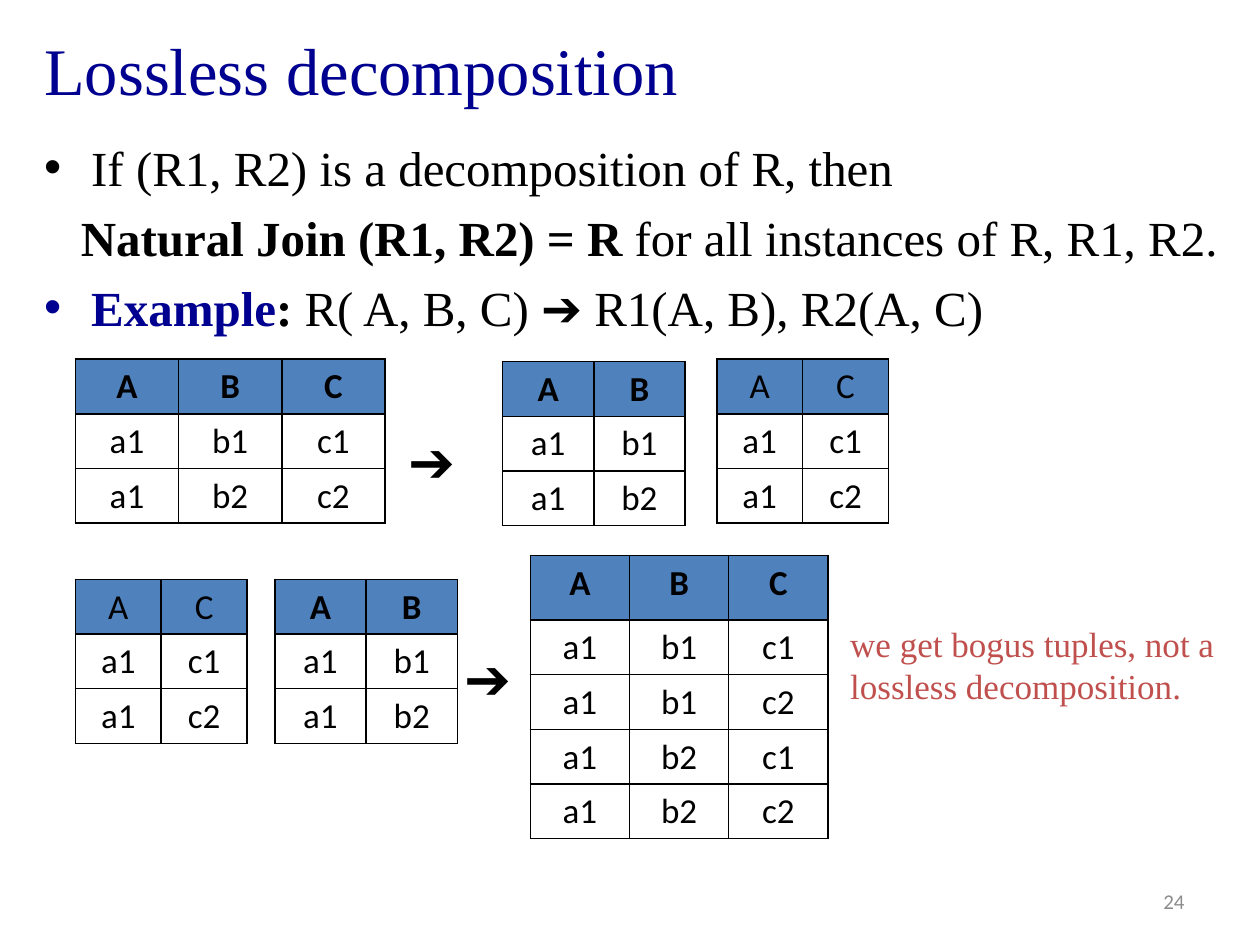
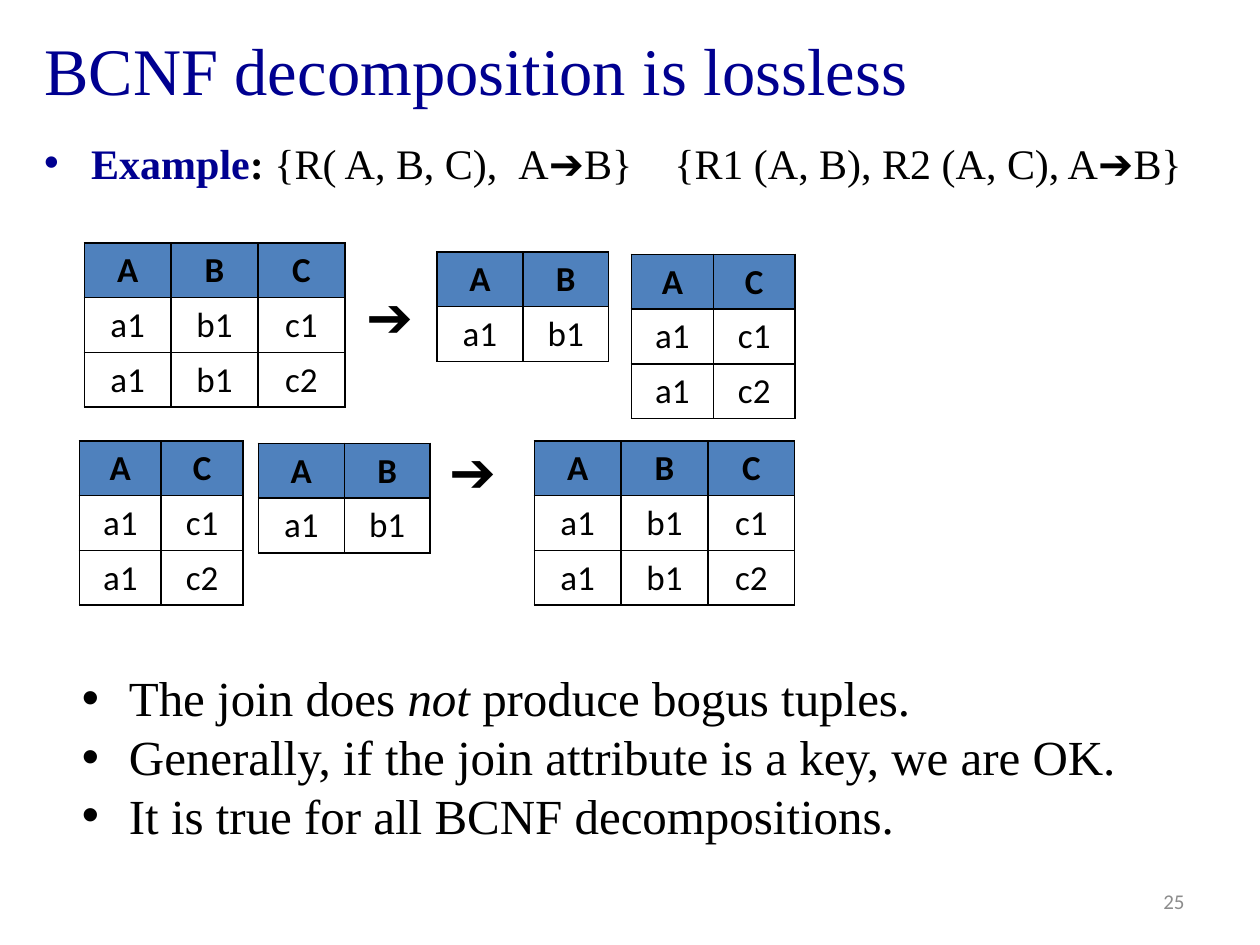
from dataclasses import dataclass

from lxml.etree import SubElement
from pptx import Presentation
from pptx.dml.color import RGBColor
from pptx.enum.text import MSO_ANCHOR, MSO_AUTO_SIZE, PP_ALIGN
from pptx.oxml.ns import qn
from pptx.util import Cm, Pt


@dataclass(frozen=True)
class Theme:
    """Colours, fonts and type sizes shared by the slides."""
    navy: str = "000090"
    ink: str = "000000"
    red: str = "C0504D"
    gray: str = "8C8C8C"
    blue: str = "4F81BD"
    serif: str = "Times New Roman"
    sans: str = "Calibri"
    sign: str = "Arial"
    head: int = Pt(38)
    join: int = Pt(32)
    body: int = Pt(28)
    lead: int = Pt(24)
    cell: int = Pt(20)
    foot: int = Pt(12)


LOOK = Theme()
ARROW = "\u2794"
HANG = 0.95
BOLD = {"bold": True}
NAVY = {"bold": True, "color": LOOK.navy}
SIGN = {"name": LOOK.sign}


def style(font, color=LOOK.ink, **form):
    """Set a font's attributes and its colour."""
    for key, value in form.items():
        setattr(font, key, value)
    font.color.rgb = RGBColor.from_string(color)


def mark(para):
    """Give a paragraph a round bullet with a hanging indent."""
    prop = para._p.get_or_add_pPr()
    prop.set("marL", str(int(Cm(HANG))))
    prop.set("indent", str(-int(Cm(HANG))))
    SubElement(prop, qn("a:buFont"), typeface=LOOK.sign)
    SubElement(prop, qn("a:buChar"), char="\u2022")


def edge(cell):
    """Draw a thin line on all sides of a cell."""
    prop = cell._tc.get_or_add_tcPr()
    for side in "LRTB":
        line = SubElement(prop, qn(f"a:ln{side}"), w=str(int(Pt(1))))
        fill = SubElement(line, qn("a:solidFill"))
        SubElement(fill, qn("a:srgbClr"), val=LOOK.ink)


class Deck:
    """Holds the theme, the presentation and the current slide."""

    def __init__(self, look):
        """Start an empty 4:3 presentation."""
        self.look = look
        self.show = Presentation()
        self.show.slide_width = Cm(25.4)
        self.show.slide_height = Cm(19.05)

    def page(self, title, number):
        """Add a slide with its title and page number."""
        look = self.look
        self.slide = self.show.slides.add_slide(self.show.slide_layouts[5])
        head = self.slide.shapes.title
        spot = {"left": 0.64, "top": 0.13, "width": 24.26, "height": 2.51}
        for key, value in spot.items():
            setattr(head, key, Cm(value))
        frame = head.text_frame
        frame.vertical_anchor = MSO_ANCHOR.MIDDLE
        self.line(frame.paragraphs[0], [(title, {})], PP_ALIGN.LEFT,
                  size=look.head, name=look.serif, color=look.navy)
        foot = self.box(18.21, 17.65, 5.92, 1.02,
                        vertical_anchor=MSO_ANCHOR.MIDDLE)
        self.line(foot.paragraphs[0], [(str(number), {})], PP_ALIGN.RIGHT,
                  size=look.foot, name=look.sans, color=look.gray)

    def box(self, left, top, wide, high, **form):
        """Add a text box and return its frame."""
        spot = map(Cm, (left, top, wide, high))
        frame = self.slide.shapes.add_textbox(*spot).text_frame
        for key, value in {"word_wrap": True, **form}.items():
            setattr(frame, key, value)
        return frame

    def line(self, para, runs, align=PP_ALIGN.LEFT, **base):
        """Fill a paragraph with runs, each with its own changes."""
        para.alignment = align
        for text, form in runs:
            run = para.add_run()
            run.text = text
            style(run.font, **{**base, **form})

    def text(self, frame, lines, size, color=LOOK.ink, gap=0, plain=()):
        """Write lines with bullets, save for the plain ones."""
        for num, runs in enumerate(lines):
            para = frame.add_paragraph() if num else frame.paragraphs[0]
            para.space_before = Pt(gap)
            if num not in plain:
                mark(para)
            self.line(para, runs, size=size, name=self.look.serif, color=color)
        return frame

    def arrow(self, mid, level):
        """Put an arrow sign around a centre point."""
        side = 1.6
        frame = self.box(mid - side / 2, level - side / 2, side, side,
                         margin_left=0, margin_right=0, margin_top=0,
                         margin_bottom=0, vertical_anchor=MSO_ANCHOR.MIDDLE)
        self.line(frame.paragraphs[0], [(ARROW, {})], PP_ALIGN.CENTER,
                  size=self.look.join, name=self.look.sign)

    def grid(self, left, top, wide, data, bold=True, head=1.1):
        """Add a relation as a table; bars part rows, spaces part cells."""
        look, step = self.look, 1.1
        rows = [row.split() for row in data.split("|")]
        cols = len(rows[0])
        high = head + step * (len(rows) - 1)
        table = self.slide.shapes.add_table(
            len(rows), cols, Cm(left), Cm(top), Cm(wide * cols), Cm(high)).table
        table.first_row = table.horz_banding = False
        for col in table.columns:
            col.width = Cm(wide)
        for num, row in enumerate(rows):
            table.rows[num].height = Cm(step if num else head)
            for col, word in enumerate(row):
                cell = table.cell(num, col)
                edge(cell)
                if num:
                    cell.fill.background()
                else:
                    cell.fill.solid()
                    cell.fill.fore_color.rgb = RGBColor.from_string(look.blue)
                self.line(cell.text_frame.paragraphs[0], [(word, {})],
                          PP_ALIGN.CENTER, size=look.cell, name=look.sans,
                          bold=bold and not num)


def lossy(deck):
    """Build the slide on a join that yields bogus tuples."""
    look = deck.look
    deck.page("Lossless decomposition", 24)
    body = deck.text(deck.box(0.64, 2.64, 24.26, 14.68), [
        [("If (R1, R2) is a decomposition of R, then", {})],
        [("Natural Join (R1, R2) = R ", BOLD),
         ("for all instances of R, R1, R2.", {})],
        [("Example", NAVY), (":", BOLD), (" R( A, B, C) ", {}),
         (ARROW, SIGN), (" R1(A, B), R2(A, C)", {})],
    ], look.body, gap=6.5, plain=(1,))
    body.paragraphs[1]._p.get_or_add_pPr().set("marL", str(int(Cm(0.74))))

    pair, rest = "A B|a1 b1|a1 b2", "A C|a1 c1|a1 c2"
    deck.grid(1.52, 7.24, 2.08, "A B C|a1 b1 c1|a1 b2 c2")
    deck.arrow(8.71, 9.27)
    deck.grid(10.13, 7.29, 1.84, pair)
    deck.grid(14.45, 7.24, 1.73, rest, bold=False)
    deck.grid(1.52, 11.68, 1.73, rest, bold=False)
    deck.grid(5.54, 11.68, 1.84, pair)
    deck.arrow(9.83, 13.64)
    deck.grid(10.69, 11.2, 2,
              "A B C|a1 b1 c1|a1 b1 c2|a1 b2 c1|a1 b2 c2", head=1.3)
    note = deck.box(16.89, 12.42, 8, 1.96, word_wrap=False,
                    auto_size=MSO_AUTO_SIZE.SHAPE_TO_FIT_TEXT)
    deck.text(note, [[("we get bogus tuples, not a", {})],
                     [("lossless decomposition.", {})]],
              look.cell, look.red, plain=(0, 1))


def exact(deck):
    """Build the slide on a join that gives back the relation."""
    look = deck.look
    deck.page("BCNF decomposition is lossless", 25)
    deck.text(deck.box(0.64, 2.64, 24.26, 16.03), [
        [("Example", NAVY), (":", BOLD), (" {R( A, B, C),\u2002A", {}),
         (ARROW, SIGN), ("B}\u2003{R1 (A, B), R2 (A, C), A", {}),
         (ARROW, SIGN), ("B}", {})],
    ], look.lead, gap=5.5)

    whole, pair = "A B C|a1 b1 c1|a1 b1 c2", "A B|a1 b1"
    rest = "A C|a1 c1|a1 c2"
    deck.grid(1.7, 4.9, 1.75, whole)
    deck.arrow(7.87, 6.35)
    deck.grid(8.81, 5.08, 1.73, pair)
    deck.grid(12.73, 5.13, 1.65, rest)
    deck.grid(1.6, 8.89, 1.65, rest)
    deck.grid(5.21, 8.94, 1.73, pair)
    deck.arrow(9.53, 9.47)
    deck.grid(10.77, 8.89, 1.75, whole)
    deck.text(deck.box(1.4, 13.34, 21.92, 4.88), [
        [("The join does ", {}), ("not ", {"italic": True}),
         ("produce bogus tuples.", {})],
        [("Generally, if the join attribute is a key, we are OK.", {})],
        [("It is true for all BCNF decompositions.", {})],
    ], look.body)


deck = Deck(LOOK)
lossy(deck)
exact(deck)
deck.show.save("out.pptx")
